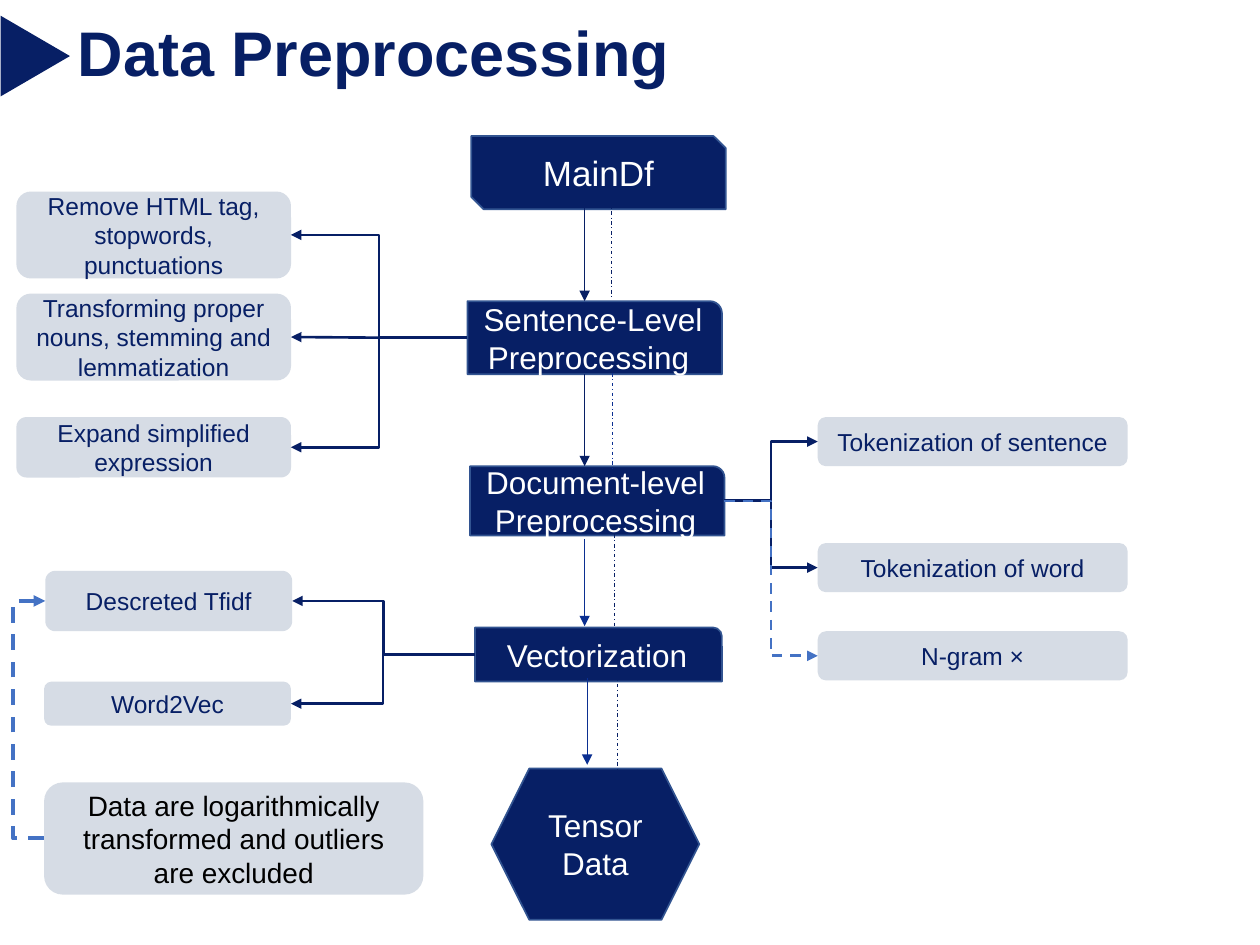
from lxml import etree
from pptx import Presentation
from pptx import util as u
from pptx.dml import color
from pptx.enum import dml, shapes, text
from pptx.oxml import ns

NAVY, BLUE, ACCENT = "071F65", "0B2F91", "4472C4"
GREY, OUTLINE, WHITE, BLACK = "D6DCE5", "325491", "FFFFFF", "000000"
TOP, LEFT, BOTTOM, RIGHT = range(4)
SHAPE, LINE = shapes.MSO_SHAPE, shapes.MSO_CONNECTOR
DASH = dml.MSO_LINE


def rgb(value):
    return color.RGBColor.from_string(value)


def set_values(target, values):
    for name, value in values.items():
        setattr(target, name, value)


class Diagram:
    font_name = "Arial"

    def __init__(self, slide):
        self.slide = slide

    def add_lines(self, frame, lines, size, ink, align, bold=False):
        for index, line in enumerate(lines):
            paragraph = frame.paragraphs[0] if index == 0 else frame.add_paragraph()
            paragraph.alignment = align
            run = paragraph.add_run()
            run.text = line
            set_values(run.font, {"name": self.font_name, "size": u.Pt(size), "bold": bold})
            run.font.color.rgb = rgb(ink)

    def title(self, line, box):
        frame = self.slide.shapes.add_textbox(*map(u.Inches, box)).text_frame
        set_values(frame, {"word_wrap": False, "auto_size": text.MSO_AUTO_SIZE.SHAPE_TO_FIT_TEXT})
        self.add_lines(frame, [line], 36, NAVY, text.PP_ALIGN.LEFT, bold=True)

    def shape(self, kind, box, lines=(), size=18, fill=NAVY, ink=WHITE, outline=None, rotation=0):
        shape = self.slide.shapes.add_shape(kind, *map(u.Inches, box))
        shape.shadow.inherit = False
        shape.rotation = rotation
        shape.fill.solid()
        shape.fill.fore_color.rgb = rgb(fill)
        if outline:
            shape.line.color.rgb = rgb(outline)
            shape.line.width = u.Pt(1)
        else:
            shape.line.fill.background()
        set_values(shape.text_frame, {"word_wrap": True, "vertical_anchor": text.MSO_ANCHOR.MIDDLE})
        self.add_lines(shape.text_frame, lines, size, ink, text.PP_ALIGN.CENTER)
        return shape

    def stage(self, kind, box, *lines, size=18):
        return self.shape(kind, box, lines, size, outline=OUTLINE)

    def detail(self, box, line, size=14, ink=NAVY):
        return self.shape(SHAPE.ROUNDED_RECTANGLE, box, [line], size, GREY, ink)

    def line(self, start, end, ink=NAVY, width=0.5, dash=None, arrow=True, kind=LINE.STRAIGHT):
        connector = self.slide.shapes.add_connector(kind, *map(u.Inches, (*start, *end)))
        connector.line.color.rgb = rgb(ink)
        set_values(connector.line, {"width": u.Pt(width), "dash_style": dash})
        if arrow:
            outline = connector.element.find(".//" + ns.qn("a:ln"))
            etree.SubElement(outline, ns.qn("a:tailEnd"), type="triangle")
        etree.SubElement(connector.element.spPr, ns.qn("a:effectLst"))
        return connector

    def elbow(self, source, source_side, target, target_side, bend=None, **style):
        style = {"width": 1.5, "kind": LINE.ELBOW, **style}
        connector = self.line((0, 0), (1, 1), **style)
        connector.begin_connect(source, source_side)
        connector.end_connect(target, target_side)
        if bend is not None:
            guides = connector.element.find(".//" + ns.qn("a:avLst"))
            etree.SubElement(guides, ns.qn("a:gd"), name="adj1", fmla=f"val {bend}")


def main():
    presentation = Presentation()
    set_values(presentation, {"slide_width": u.Inches(10), "slide_height": u.Inches(7.5)})
    diagram = Diagram(presentation.slides.add_slide(presentation.slide_layouts[6]))

    # Heading
    diagram.title("Data Preprocessing", (0.52, 0.06, 5.12, 0.71))
    diagram.shape(SHAPE.ISOSCELES_TRIANGLE, (-0.04, 0.17, 0.64, 0.55), rotation=90)

    # Main pipeline
    rounded = SHAPE.ROUND_1_RECTANGLE
    diagram.stage(SHAPE.SNIP_2_DIAG_RECTANGLE, (3.74, 1.08, 2.02, 0.58), "MainDf", size=20)
    sentence = diagram.stage(rounded, (3.71, 2.39, 2.02, 0.58), "Sentence-Level Preprocessing ")
    document = diagram.stage(rounded, (3.73, 3.7, 2.02, 0.55), "Document-level", "Preprocessing")
    vectors = diagram.stage(rounded, (3.77, 4.98, 1.96, 0.43), "Vectorization")
    diagram.stage(SHAPE.HEXAGON, (3.9, 6.1, 1.65, 1.2), "Tensor Data")

    # Solid arrows and dash-dot lines between stages
    for x, top, bottom, ink in [(4.64, 1.62, 2.39, NAVY), (4.64, 2.97, 3.7, NAVY),
                                (4.64, 4.28, 4.97, BLUE), (4.66, 5.38, 6.07, BLUE)]:
        diagram.line((x, top), (x, bottom), ink)
    for x, top, ink in [(4.85, 1.6, NAVY), (4.86, 2.96, BLUE), (4.88, 4.24, NAVY), (4.9, 5.35, NAVY)]:
        diagram.line((x, top), (x, top + 0.77), ink, dash=DASH.DASH_DOT, arrow=False)

    # Sentence-level steps
    clean, transform, expand = [
        diagram.detail((0.13, top, 2.18, height), line) for top, height, line in [
            (1.52, 0.69, "Remove HTML tag, stopwords, punctuations"),
            (2.33, 0.69, "Transforming proper nouns, stemming and lemmatization"),
            (3.31, 0.48, "Expand simplified expression")]]
    for step in (clean, expand):
        diagram.elbow(sentence, LEFT, step, RIGHT)
    diagram.line((3.01, 2.68), (2.31, 2.68), width=1.5).end_connect(transform, RIGHT)

    # Document-level steps
    for top, line, style in [(3.31, "Tokenization of sentence", {}),
                             (4.31, "Tokenization of word", {}),
                             (5.01, "N-gram ×", {"ink": ACCENT, "dash": DASH.DASH})]:
        step = diagram.detail((6.49, top, 2.46, 0.39), line)
        diagram.elbow(document, RIGHT, step, LEFT, **style)

    # Vectorization methods
    tfidf = diagram.detail((0.36, 4.53, 1.96, 0.48), "Descreted Tfidf")
    word2vec = diagram.detail((0.35, 5.41, 1.96, 0.35), "Word2Vec")
    for method in (word2vec, tfidf):
        diagram.elbow(vectors, LEFT, method, RIGHT)

    # Remark on the Tfidf values; the bend lies 0.25 inch left of the boxes
    remark = diagram.detail((0.35, 6.21, 3.01, 0.89),
                            "Data are logarithmically transformed and outliers are excluded", 16, BLACK)
    diagram.elbow(remark, LEFT, tfidf, LEFT, bend=-2500000,
                  ink=ACCENT, width=2.25, dash=DASH.DASH)

    presentation.save("out.pptx")


if __name__ == "__main__":
    main()
